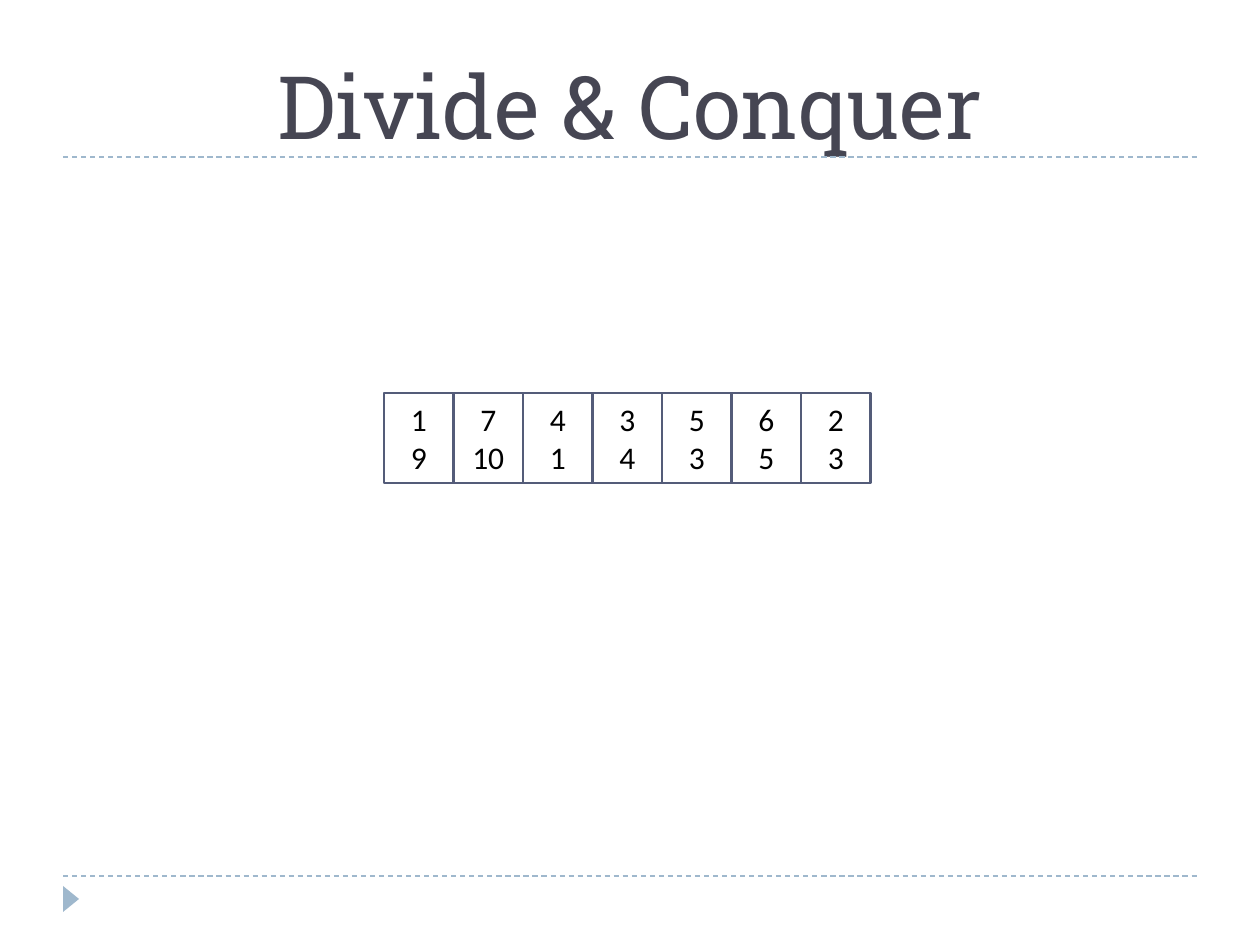
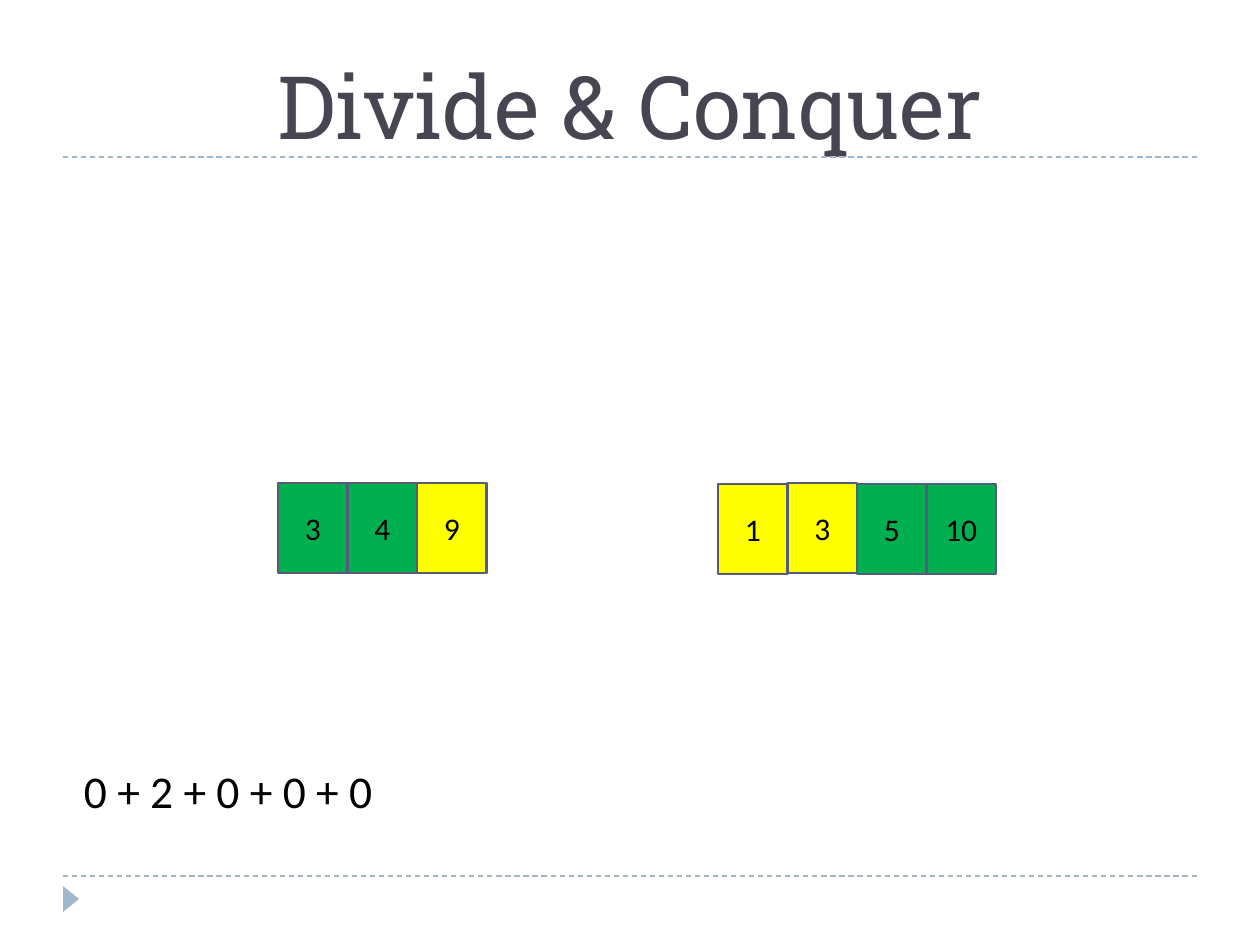
import pptx
import pptx.util
import pptx.dml.color
import pptx.enum.dml
import pptx.enum.shapes
import pptx.enum.text
import pptx.oxml.ns
from lxml import etree

RGB = pptx.dml.color.RGBColor
INK = RGB(0x46, 0x46, 0x53)
BLACK = RGB(0, 0, 0)
EDGE = RGB(0x54, 0x5C, 0x79)
PALE = RGB(0x9F, 0xB8, 0xCD)
GREEN = RGB(0x00, 0xB0, 0x50)
YELLOW = RGB(0xFF, 0xFF, 0x00)

SHAPE = pptx.enum.shapes.MSO_SHAPE
ANCHOR = pptx.enum.text.MSO_ANCHOR
CENTER = pptx.enum.text.PP_ALIGN.CENTER

# Content: a row is (left, cells), a cell is (lines, fill, top)
TITLE = "Divide & Conquer"
PAIRS = ["1\n9", "7\n10", "4\n1", "3\n4", "5\n3", "6\n5", "2\n3"]
SLIDES = [
    {"rows": [(384, [(pair, None, 393) for pair in PAIRS])]},
    {
        "rows": [
            (278, [("3", GREEN, 483), ("4", GREEN, 483), ("9", YELLOW, 483)]),
            (718, [("1", YELLOW, 484), ("3", YELLOW, 483),
                   ("5", GREEN, 484), ("10", GREEN, 484)]),
        ],
        "sum": "0 + 2 + 0 + 0 + 0",
    },
]

# Sizes in px, 126 to the inch
LEFT, RIGHT = 63, 1197
RULES = (876, 157)
TWO_WIDE, HIGH = 139, 90  # width of two cells, height of one


def px(num):
    return pptx.util.Emu(round(num * 914400 / 126))


def box(*spot):
    return [px(num) for num in spot]


def write(frame, text, size, font, color, align=None):
    frame.text = text
    for para in frame.paragraphs:
        para.alignment = align
        para.font.size = pptx.util.Pt(size)
        para.font.name = font
        para.font.color.rgb = color


def add_frame(slide):
    """Title, dashed rules and corner mark."""
    for y in RULES:
        rule = slide.shapes.add_connector(
            pptx.enum.shapes.MSO_CONNECTOR.STRAIGHT, *box(LEFT, y, RIGHT, y))
        rule.line.color.rgb = PALE
        rule.line.width = pptx.util.Pt(0.75)
        rule.line.dash_style = pptx.enum.dml.MSO_LINE.DASH
        props = rule.element.spPr
        etree.SubElement(props, pptx.oxml.ns.qn("a:effectLst"))

    mark = slide.shapes.add_shape(SHAPE.ISOSCELES_TRIANGLE, *box(58, 891, 26, 16))
    mark.rotation = 90
    mark.shadow.inherit = False
    mark.fill.solid()
    mark.fill.fore_color.rgb = PALE
    mark.line.fill.background()

    title = slide.shapes.title
    title.left, title.top, title.width, title.height = box(
        LEFT, 21, RIGHT - LEFT, 136)
    frame = title.text_frame
    write(frame, TITLE, 50, "Roboto Slab", INK, CENTER)
    frame.auto_size = pptx.enum.text.MSO_AUTO_SIZE.NONE
    frame.vertical_anchor = ANCHOR.BOTTOM
    frame.margin_bottom = 0


def add_row(slide, left, cells):
    for num, (text, fill, top) in enumerate(cells):
        cell = slide.shapes.add_shape(
            SHAPE.RECTANGLE,
            *box(left + num * TWO_WIDE / 2, top, TWO_WIDE / 2, HIGH))
        cell.shadow.inherit = False
        if fill is None:
            cell.fill.background()
        else:
            cell.fill.solid()
            cell.fill.fore_color.rgb = fill
        cell.line.color.rgb = EDGE
        cell.line.width = pptx.util.Pt(1.5)
        cell.text_frame.vertical_anchor = ANCHOR.MIDDLE
        write(cell.text_frame, text, 18, "Calibri", BLACK, CENTER)


def add_sum(slide, text):
    frame = slide.shapes.add_textbox(*box(84, 763, 500, 56)).text_frame
    frame.word_wrap = True
    frame.margin_left = frame.margin_top = frame.margin_bottom = 0
    write(frame, text, 26, "Calibri", BLACK)


def main():
    deck = pptx.Presentation()
    deck.slide_width, deck.slide_height = box(1260, 945)
    for page in SLIDES:
        slide = deck.slides.add_slide(deck.slide_layouts[5])
        add_frame(slide)
        for left, cells in page["rows"]:
            add_row(slide, left, cells)
        if "sum" in page:
            add_sum(slide, page["sum"])
    deck.save("out.pptx")


if __name__ == "__main__":
    main()
